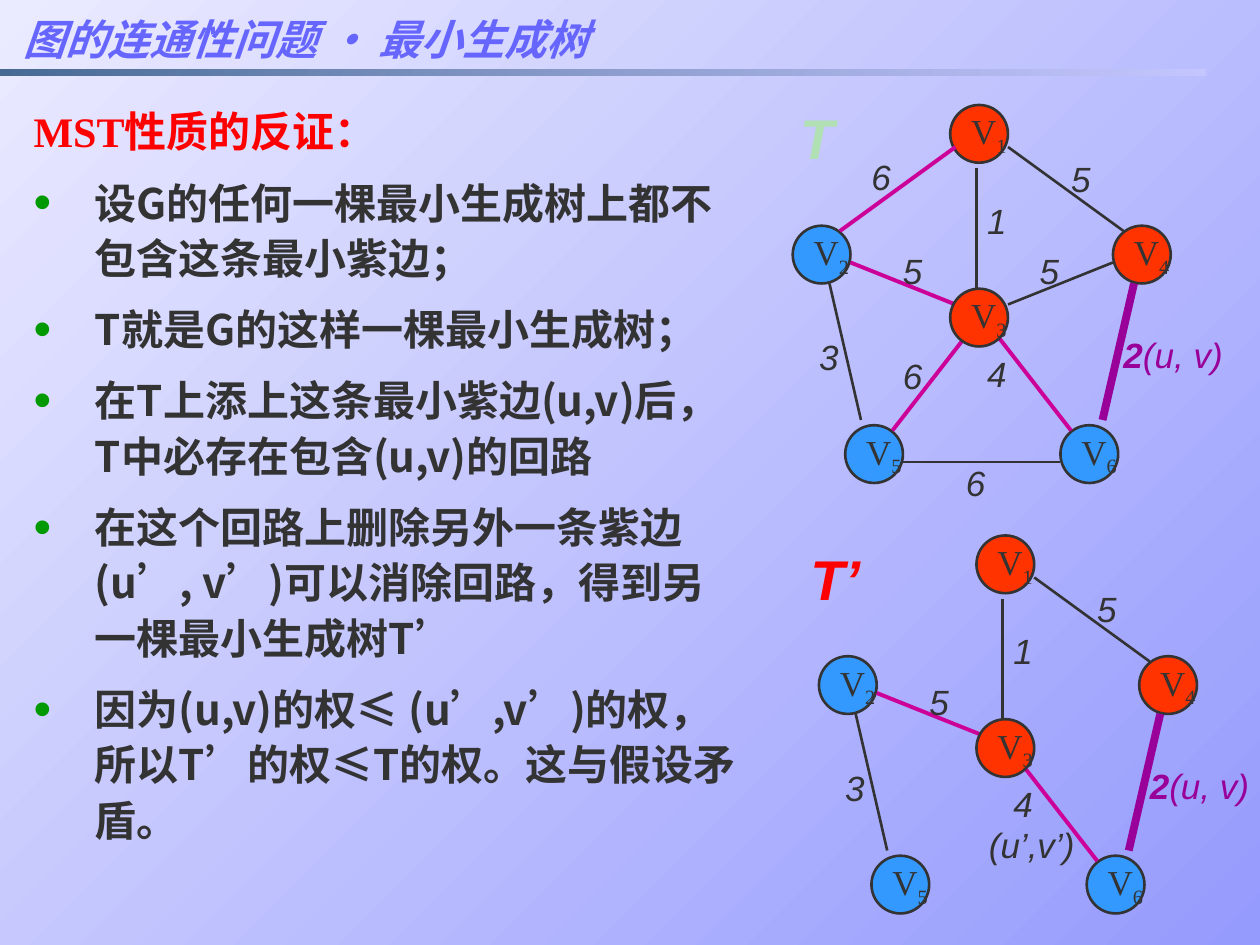
import itertools
import pptx
import pptx.util
import pptx.dml.color
import pptx.enum.dml
import pptx.enum.shapes
import pptx.enum.text
import pptx.oxml
import pptx.oxml.ns
from lxml import etree

Pt = pptx.util.Pt
SANS, SERIF, ARIAL = "Noto Sans CJK SC", "Times New Roman", "Arial"
COLORS = {
    "light": "EBEBFF", "deep": "959AFD", "ink": "333333", "title": "6666FF",
    "red": "FF0000", "bullet": "009900", "pale": "B2E0B5", "navy": "003366",
    "mist": "CCCCFF", "in": "FF3300", "out": "3399FF", "tree": "CC0099", "uv": "990099",
}

# Content
TITLE = [("图的连通性问题 ", SANS), ("• ", ARIAL), ("最小生成树", SANS)]
HEADING = "MST性质的反证："
POINTS = [
    "设G的任何一棵最小生成树上都不包含这条最小紫边；",
    "T就是G的这样一棵最小生成树；",
    "在T上添上这条最小紫边(u,v)后，T中必存在包含(u,v)的回路",
    "在这个回路上删除另外一条紫边(u’, v’)可以消除回路，得到另一棵最小生成树T’",
    "因为(u,v)的权≤ (u’,v’)的权，所以T’的权≤T的权。这与假设矛盾。",
]
# Vertex number: left, top, fill; vertex 3 lies above the edges
NODES = {
    1: (543, 60, "in"), 2: (453, 129, "out"), 4: (636, 129, "in"),
    5: (483, 243, "out"), 6: (606, 243, "out"), 3: (543, 165, "in"),
}
NODE_SIZE = 33
# Edge: start, end, style, weight, weight position
EDGES = {
    "13": ((558, 96), (558, 168), "ink", "1", (564, 109)),
    "25": ((474, 162), (492, 240), "ink", "3", (468, 187)),
    "56": ((516, 264), (606, 264), "ink", "6", (552, 259)),
    "46": ((648, 162), (630, 240), "uv", "2", (642, 186)),
    "35": ((552, 192), (510, 246), "tree", "6", (516, 198)),
    "36": ((570, 192), (612, 246), "tree", "4", (564, 204)),
    "23": ((486, 150), (546, 174), "tree", "5", (516, 138)),
    "43": ((636, 150), (576, 174), "ink", "5", (594, 138)),
    "12": ((546, 84), (480, 132), "tree", "6", (498, 84)),
    "14": ((576, 84), (642, 132), "ink", "5", (612, 85)),
}
WIDTHS = {"ink": 1.5, "tree": 2.25, "uv": 4.5}
# Graph: horizontal shift, vertical shift, edges kept
GRAPHS = [
    (0, 0, list(EDGES)),
    (15, 246, ["13", "25", "46", "36", "23", "14"]),
]


def color(name):
    return pptx.dml.color.RGBColor.from_string(COLORS[name])


def add_span(para, text, font, size, tint, bold=False, italic=False):
    span = para.add_run()
    span.text = text
    span.font.name, span.font.size = font, Pt(size)
    span.font.bold, span.font.italic = bold, italic
    span.font.color.rgb = color(tint)
    east = etree.SubElement(span._r.get_or_add_rPr(), pptx.oxml.ns.qn("a:ea"))
    east.set("typeface", SANS)
    return span


def set_frame(frame, inset_x=7.2, inset_y=3.6, wrap=True):
    frame.word_wrap = wrap
    frame.auto_size = pptx.enum.text.MSO_AUTO_SIZE.NONE
    frame.vertical_anchor = pptx.enum.text.MSO_ANCHOR.TOP
    frame.margin_left = frame.margin_right = Pt(inset_x)
    frame.margin_top = frame.margin_bottom = Pt(inset_y)


def place(shape, left, top, width, height):
    shape.left, shape.top, shape.width, shape.height = map(Pt, (left, top, width, height))


def set_bullet(para, bulleted):
    props = para._p.get_or_add_pPr()
    props.set("marL", str(Pt(35)))
    props.set("indent", str(Pt(-35)))
    props.set("hangingPunct", "0")
    marks = ["<a:buNone {}/>"]
    if bulleted:
        marks = ['<a:buClr {}><a:srgbClr val="%s"/></a:buClr>' % COLORS["bullet"],
                 '<a:buSzPct {} val="120000"/>', '<a:buFont {} typeface="Arial"/>',
                 '<a:buChar {} char="•"/>']
    for mark in marks:
        props.append(pptx.oxml.parse_xml(mark.format(pptx.oxml.ns.nsdecls("a"))))


def add_label(slide, at, size, spans, spacing=1.2, inset=(0, 0)):
    box = slide.shapes.add_textbox(*map(Pt, at + size))
    set_frame(box.text_frame, *inset)
    para = box.text_frame.paragraphs[0]
    para.line_spacing = spacing
    for text, points, tint, bold in spans:
        add_span(para, text, ARIAL, points, tint, bold, True)


def add_node(slide, number, dx, dy):
    left, top, fill = NODES[number]
    node = slide.shapes.add_shape(pptx.enum.shapes.MSO_SHAPE.OVAL, Pt(left + dx), Pt(top + dy),
                                  Pt(NODE_SIZE), Pt(NODE_SIZE))
    node.shadow.inherit = False
    node.fill.solid()
    node.fill.fore_color.rgb = color(fill)
    node.line.color.rgb = color("ink")
    node.line.width = Pt(1.5)
    set_frame(node.text_frame, wrap=False)
    node.text_frame.vertical_anchor = pptx.enum.text.MSO_ANCHOR.MIDDLE
    para = node.text_frame.paragraphs[0]
    para.alignment = pptx.enum.text.PP_ALIGN.LEFT
    add_span(para, "V", SERIF, 20, "ink")
    index = add_span(para, str(number), SERIF, 20, "ink")
    index._r.get_or_add_rPr().set("baseline", "-25000")


def add_edge(slide, name, dx, dy):
    (x1, y1), (x2, y2), style, weight, (x, y) = EDGES[name]
    edge = slide.shapes.add_connector(pptx.enum.shapes.MSO_CONNECTOR.STRAIGHT, Pt(x1 + dx),
                                      Pt(y1 + dy), Pt(x2 + dx), Pt(y2 + dy))
    edge.line.color.rgb = color(style)
    edge.line.width = Pt(WIDTHS[style])
    etree.SubElement(edge._element.spPr, pptx.oxml.ns.qn("a:effectLst"))
    at = (x + dx, y + dy)
    if style == "uv":
        add_label(slide, at, (60, 29), [(weight, 20, "uv", True), ("(u, v)", 20, "uv", False)])
    else:
        add_label(slide, at, (18, 29), [(weight, 20, "ink", False)], 0.9 if name == "36" else 1.2)


def set_gradient(fill, first, last, angle):
    fill.gradient()
    fill.gradient_angle = angle
    for stop, tint in zip(fill.gradient_stops, (first, last)):
        stop.color.rgb = color(tint)


deck = pptx.Presentation()
deck.slide_width, deck.slide_height = Pt(720), Pt(540)
page = deck.slides.add_slide(deck.slide_layouts[1])
set_gradient(page.background.fill, "light", "deep", 315)

# Title and the rule beneath it
title = page.shapes.title
place(title, 6, 4.3, 714, 36)
set_frame(title.text_frame)
para = title.text_frame.paragraphs[0]
para.alignment = pptx.enum.text.PP_ALIGN.LEFT
for text, font in TITLE:
    add_span(para, text, font, 24, "title", True, True)
rule = page.shapes.add_shape(pptx.enum.shapes.MSO_SHAPE.RECTANGLE, 0, Pt(40), Pt(689), Pt(3))
rule.shadow.inherit = False
rule.line.fill.background()
set_gradient(rule.fill, "navy", "mist", 0)
for tint, alpha in zip(rule._element.spPr.iter(pptx.oxml.ns.qn("a:srgbClr")), (70, 60)):
    etree.SubElement(tint, pptx.oxml.ns.qn("a:alpha")).set("val", str(alpha * 1000))

# Proof
body = page.placeholders[1]
place(body, 12, 54, 420, 474)
set_frame(body.text_frame)
for row, text in enumerate([HEADING] + POINTS):
    para = body.text_frame.add_paragraph() if row else body.text_frame.paragraphs[0]
    para.line_spacing = 1.1
    para.space_before = Pt(9 if row else 0)
    set_bullet(para, row > 0)
    for is_prime, letters in itertools.groupby(text, lambda letter: letter == "’"):
        add_span(para, "".join(letters), SERIF if is_prime or not row else SANS, 24,
                 "ink" if row else "red", True)

# Graphs
for dx, dy, names in GRAPHS:
    for number in NODES:
        if number != 3:
            add_node(page, number, dx, dy)
    for name in names:
        add_edge(page, name, dx, dy)
    add_node(page, 3, dx, dy)

# Names of the trees and of the removed edge
add_label(page, (450, 48), (48, 53), [("T", 32, "pale", True)], inset=(7.2, 3.6))
add_label(page, (456, 300), (48, 53), [("T’", 32, "red", True)], inset=(7.2, 3.6))
add_label(page, (558, 462), (66, 36), [("(u’,v’)", 20, "ink", False)], inset=(7.2, 3.6))

deck.save("out.pptx")
